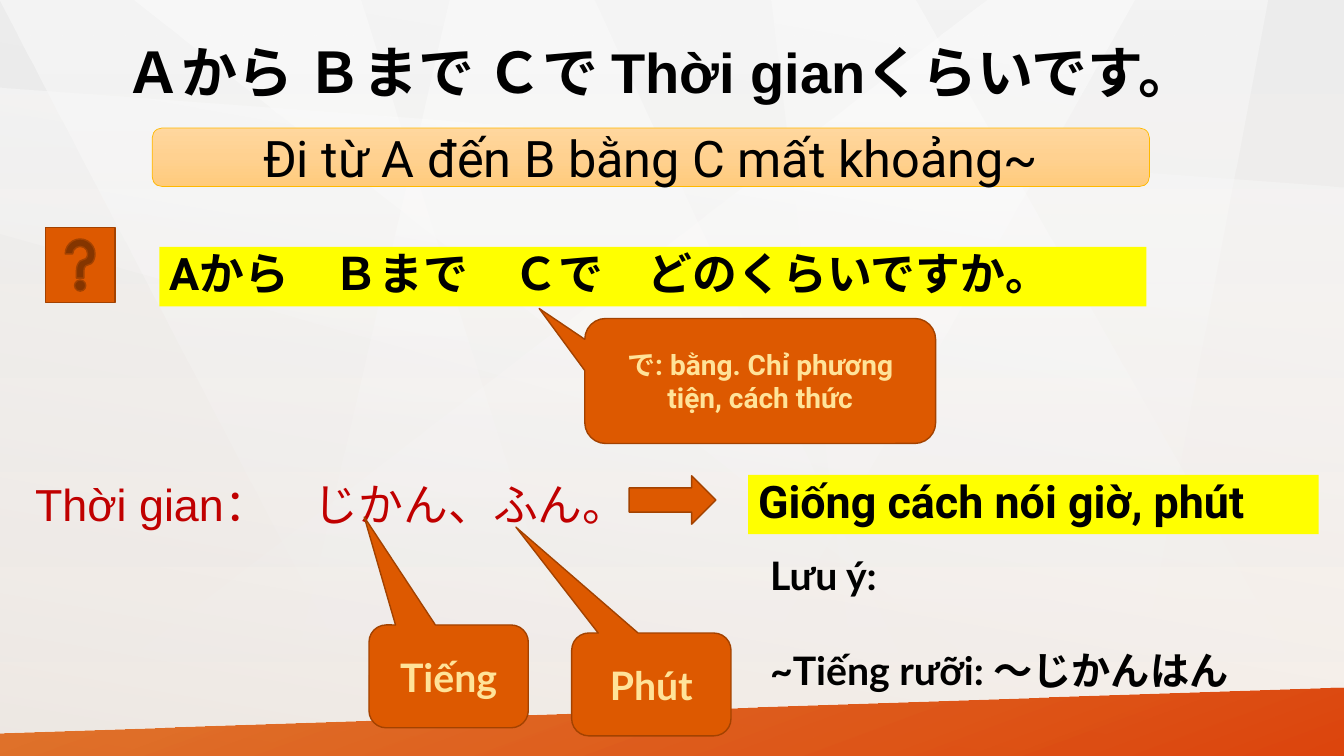
from lxml import etree
from pptx import Presentation
from pptx.dml.color import RGBColor
from pptx.enum.shapes import MSO_SHAPE
from pptx.enum.text import MSO_ANCHOR, PP_ALIGN
from pptx.oxml.ns import qn
from pptx.util import Inches, Pt

COLORS = {
    "white": "FFFFFF", "black": "000000", "silver": "BFBFBF", "mist": "ECECEC",
    "cream": "FCF5EF", "orange": "DD5900", "ember": "DC3C00", "rust": "A34200",
    "peach": "FFD79E", "apricot": "FFD190", "honey": "FFCB7C", "gold": "FFB900",
    "yellow": "FFFF00", "red": "C00000", "pale": "FFE399",
}
JAPANESE = "Noto Sans CJK JP"


def paint_gradient(fill, owner, stops, angle):
    fill.solid()
    solid = owner.find(".//" + qn("a:solidFill"))
    gradient = etree.Element(qn("a:gradFill"), rotWithShape="1")
    stop_list = etree.SubElement(gradient, qn("a:gsLst"))
    for position, color, opacity in stops:
        stop = etree.SubElement(stop_list, qn("a:gs"), pos=str(position * 1000))
        rgb = etree.SubElement(stop, qn("a:srgbClr"), val=COLORS[color])
        if opacity < 100:
            etree.SubElement(rgb, qn("a:alpha"), val=str(opacity * 1000))
    etree.SubElement(gradient, qn("a:lin"), ang=str(angle * 60000), scaled="0")
    solid.getparent().replace(solid, gradient)


def write(shape, paragraphs, size, color, bold=True, align=PP_ALIGN.LEFT,
          anchor=MSO_ANCHOR.TOP, spacing=1.0, gap=0):
    frame = shape.text_frame
    frame.word_wrap = True
    frame.vertical_anchor = anchor
    for index, runs in enumerate(paragraphs):
        paragraph = frame.add_paragraph() if index else frame.paragraphs[0]
        paragraph.alignment = align
        paragraph.line_spacing = spacing
        if index:
            paragraph.space_before = Pt(gap)
        for words, font in runs:
            run = paragraph.add_run()
            run.text = words
            run.font.name = font
            run.font.size = Pt(size)
            run.font.bold = bold
            run.font.color.rgb = RGBColor.from_string(COLORS[color])
            east_asian = etree.Element(qn("a:ea"), typeface=JAPANESE)
            run.font._element.find(qn("a:latin")).addnext(east_asian)


prs = Presentation()
prs.slide_width = Inches(13.33)
prs.slide_height = Inches(7.5)
slide = prs.slides.add_slide(prs.slide_layouts[6])
shapes = slide.shapes
paint_gradient(slide.background.fill, slide.element.find(".//" + qn("p:bgPr")),
               [(0, "mist", 100), (100, "cream", 100)], 90)

facets = [
    (50, [(9.79, 0), (0, 7.51), (7.01, 7.51), (11.25, 0)]),
    (50, [(0, 0), (3.58, 0), (5.94, 7.5), (3.91, 7.5)]),
    (50, [(1.32, 0), (9.07, 0), (13.33, 7.5), (10.83, 7.5)]),
    (40, [(7.65, 0), (8.56, 7.5), (11.15, 7.5), (12.57, 0)]),
    (50, [(5.89, 0), (4.46, 0), (2.72, 7.5), (9.39, 7.5)]),
    (40, [(0, 0.87), (13.33, 1.86), (13.33, 6.1), (0, 2.32)]),
]
polygons = [(corners, [(0, "white", opacity), (100, "white", 0)], 90)
            for opacity, corners in facets]
polygons += [
    ([(0, 0), (13.33, 0), (13.33, 7.5), (0, 7.5)],
     [(0, "silver", 25), (100, "white", 0)], 280),
    ([(0, 7.27), (13.33, 6.82), (13.33, 7.51), (0, 7.51)],
     [(0, "orange", 80), (100, "ember", 95)], 70),
]
for corners, stops, angle in polygons:
    points = [(Inches(x), Inches(y)) for x, y in corners]
    outline = shapes.build_freeform(*points[0])
    outline.add_line_segments(points[1:], close=True)
    facet = outline.convert_to_shape()
    facet.shadow.inherit = False
    facet.line.fill.background()
    paint_gradient(facet.fill, facet.element.spPr, stops, angle)

meaning = shapes.add_shape(MSO_SHAPE.ROUNDED_RECTANGLE, Inches(1.51), Inches(1.27),
                           Inches(9.89), Inches(0.58))
meaning.shadow.inherit = False
paint_gradient(meaning.fill, meaning.element.spPr,
               [(0, "peach", 100), (50, "apricot", 100), (100, "honey", 100)], 90)
meaning.line.color.rgb = RGBColor.from_string(COLORS["gold"])
meaning.line.width = Pt(0.5)
write(meaning, [[("Đi từ A đến B bằng C mất khoảng~", "Roboto")]], 36, "black",
      bold=False, align=PP_ALIGN.CENTER, anchor=MSO_ANCHOR.MIDDLE)

pattern = shapes.add_textbox(Inches(0.25), Inches(0.17), Inches(12.59), Inches(1.08))
write(pattern, [[("Ａから Ｂまで Ｃで ", JAPANESE), ("Thời gian", "Arial"),
                 ("くらいです。", JAPANESE)]],
      40, "black", align=PP_ALIGN.CENTER, anchor=MSO_ANCHOR.MIDDLE)

duration = shapes.add_textbox(Inches(0.25), Inches(4.74), Inches(9.79), Inches(0.59))
write(duration, [[("Thời gian", "Arial"), ("：　じかん、ふん。", "Roboto")]],
      32, "red", bold=False, spacing=0.9)

highlights = [
    (1.58, 2.45, 9.79, [("Aから　Ｂまで　Ｃで　どのくらいですか", "Roboto"), ("。", JAPANESE)]),
    (7.42, 4.71, 5.66, [("Giống cách nói giờ, phút", "Roboto")]),
]
for left, top, width, runs in highlights:
    highlight = shapes.add_shape(MSO_SHAPE.RECTANGLE, Inches(left), Inches(top),
                                 Inches(width), Inches(0.59))
    highlight.shadow.inherit = False
    highlight.fill.solid()
    highlight.fill.fore_color.rgb = RGBColor.from_string(COLORS["yellow"])
    highlight.line.fill.background()
    write(highlight, [runs], 32, "black", spacing=0.9)

CALLOUT = MSO_SHAPE.ROUNDED_RECTANGULAR_CALLOUT
markers = [
    (MSO_SHAPE.ACTION_BUTTON_HELP, (0.45, 2.26, 0.69, 0.74), None, None),
    (CALLOUT, (3.66, 6.2, 1.58, 1.02), (-0.53, -1.55), ("Tiếng", "Lato", 28)),
    (CALLOUT, (5.67, 6.28, 1.58, 1.02), (-0.85, -1.53), ("Phút", "Lato", 28)),
    (MSO_SHAPE.RIGHT_ARROW, (6.24, 4.72, 0.86, 0.48), None, None),
    (CALLOUT, (5.8, 3.16, 3.48, 1.24), (-0.63, -0.58),
     ("で: bằng. Chỉ phương tiện, cách thức", "Roboto", 20)),
]
for kind, box, tip, label in markers:
    marker = shapes.add_shape(kind, *[Inches(length) for length in box])
    marker.shadow.inherit = False
    marker.fill.solid()
    marker.fill.fore_color.rgb = RGBColor.from_string(COLORS["orange"])
    marker.line.color.rgb = RGBColor.from_string(COLORS["rust"])
    marker.line.width = Pt(1)
    if label:
        marker.adjustments[0], marker.adjustments[1] = tip
        words, font, size = label
        write(marker, [[(words, font)]], size, "pale",
              align=PP_ALIGN.CENTER, anchor=MSO_ANCHOR.MIDDLE)

note = shapes.add_textbox(Inches(7.54), Inches(5.42), Inches(5.09), Inches(1.51))
write(note, [[("Lưu ý:", "Lato")], [("~Tiếng rưỡi: 〜じかんはん", "Lato")]],
      28, "black", gap=34)

prs.save("out.pptx")
